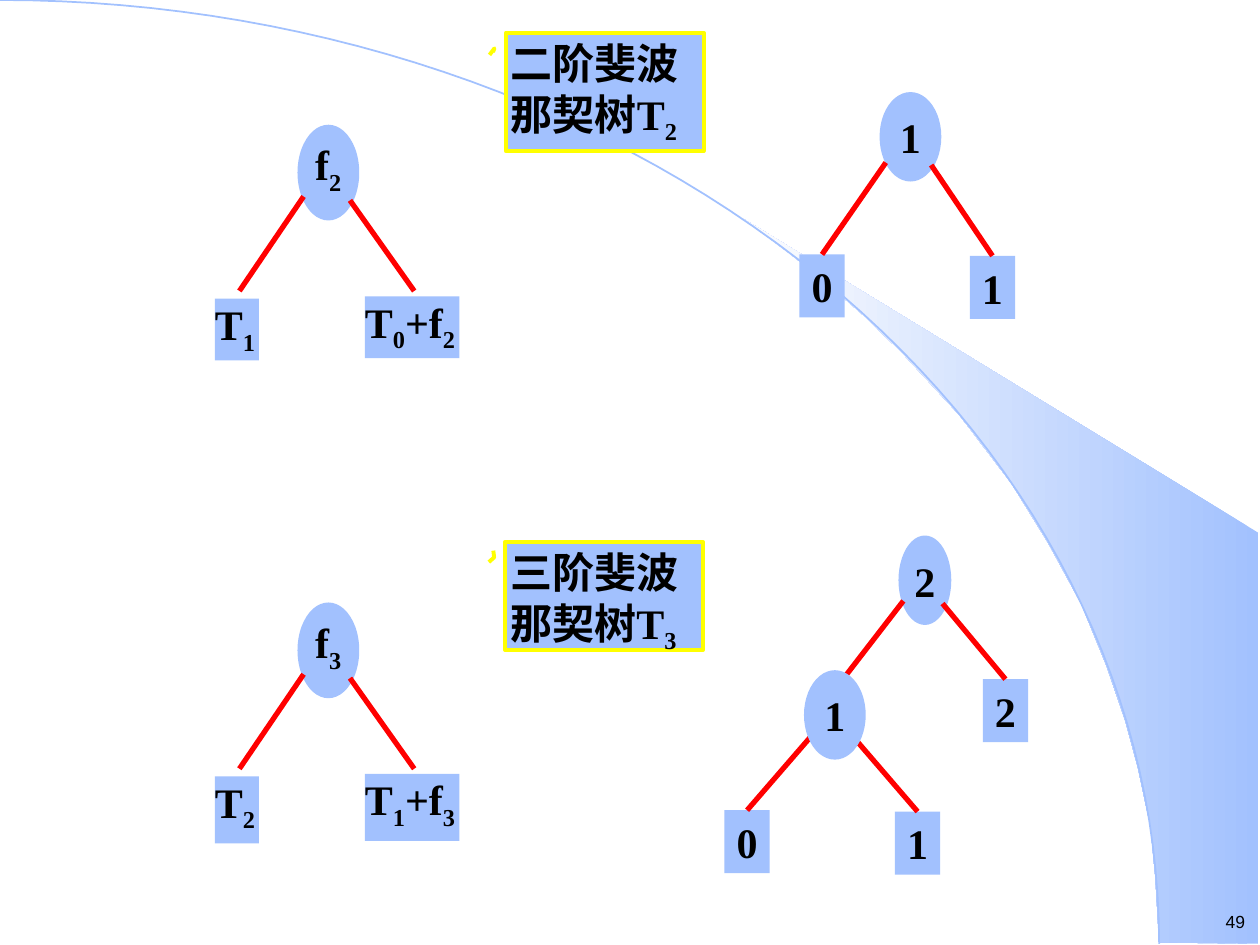
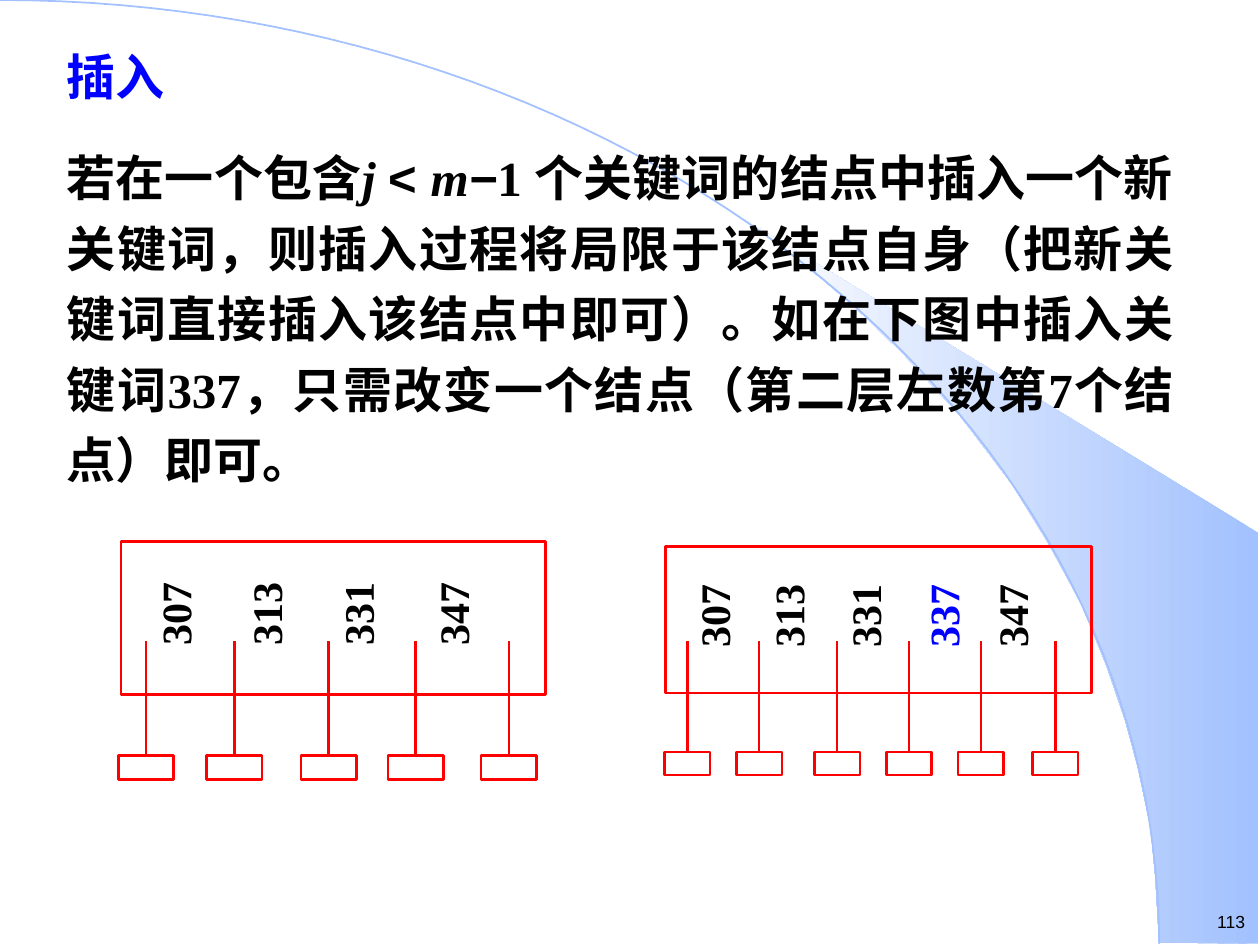
import math

import pptx
import pptx.dml.color
import pptx.enum.shapes
import pptx.enum.text
import pptx.oxml.ns
import pptx.util
from lxml import etree

Pt = pptx.util.Pt
RGBColor = pptx.dml.color.RGBColor
SHAPE = pptx.enum.shapes.MSO_SHAPE
ALIGN = pptx.enum.text.PP_ALIGN
ANCHOR = pptx.enum.text.MSO_ANCHOR

BLACK = RGBColor(0x00, 0x00, 0x00)
BLUE = RGBColor(0x00, 0x00, 0xFF)
RED = RGBColor(0xFF, 0x00, 0x00)
YELLOW = RGBColor(0xFF, 0xFF, 0x00)
SKY = RGBColor(0xA2, 0xC1, 0xFE)
NEAR_WHITE = RGBColor(0xFE, 0xFE, 0xFE)

SERIF = "Times New Roman"
SANS = "Arial"
TOP_SIDE = 0
ARC_WIDTH, ARC_HEIGHT, ARC_STEPS = 662.4, 539.3, 60
SWOOSH = [(662.4, 538.6), (719.3, 539.3), (719.3, 304.6), (424.1, 124.6),
          (449.3, 143.3), (470.2, 159.8), (493.2, 180), (515.5, 201.6),
          (548.6, 237.6), (578.2, 276.5), (599, 310.3), (617.8, 344.9),
          (632.2, 380.2), (643, 411.8), (650.2, 438.5), (657.4, 472.3),
          (660.2, 501.1)]


class Deck:
    """Holds the shared style and the slide being drawn."""

    def __init__(self):
        self.presentation = pptx.Presentation()
        self.presentation.slide_width = Pt(720)
        self.presentation.slide_height = Pt(540)
        self.shapes = None

    def new_slide(self, number):
        layout = self.presentation.slide_layouts[6]
        self.shapes = self.presentation.slides.add_slide(layout).shapes
        swoosh = self.outline(SWOOSH, closed=True)
        swoosh.fill.gradient()
        swoosh.fill.gradient_angle = 180
        for stop, color in zip(swoosh.fill.gradient_stops, (SKY, NEAR_WHITE)):
            stop.color.rgb = color
        swoosh.line.fill.background()

        angles = [math.pi / 2 * step / ARC_STEPS for step in range(ARC_STEPS + 1)]
        arc = self.outline([(ARC_WIDTH * math.sin(angle), ARC_HEIGHT * (1 - math.cos(angle)))
                            for angle in angles], closed=False)
        arc.fill.background()
        self.stroke(arc, SKY, 1)

        page = self.text_box((677.5, 517, 35.3, 19.4), (1.4, 3.6, 1.4, 3.6))
        self.put_text(page.text_frame.paragraphs[0], [str(number)], 10, ALIGN.RIGHT,
                      font_name=SANS, bold=False)

    def outline(self, points, closed):
        builder = self.shapes.build_freeform(Pt(points[0][0]), Pt(points[0][1]))
        builder.add_line_segments([(Pt(x), Pt(y)) for x, y in points[1:]], close=closed)
        shape = builder.convert_to_shape()
        shape.shadow.inherit = False
        return shape

    def stroke(self, shape, color, width):
        shape.line.color.rgb = color
        shape.line.width = Pt(width)

    def set_frame(self, shape, insets, anchor=ANCHOR.TOP, wrap=True):
        frame = shape.text_frame
        frame.word_wrap = wrap
        frame.vertical_anchor = anchor
        (frame.margin_left, frame.margin_top,
         frame.margin_right, frame.margin_bottom) = map(Pt, insets)

    def text_box(self, place, insets):
        box = self.shapes.add_textbox(*map(Pt, place))
        self.set_frame(box, insets)
        return box

    def put_text(self, paragraph, pieces, size=24, align=ALIGN.LEFT, color=BLACK,
                 font_name=SERIF, bold=True):
        """Add pieces in turn; every second one is a subscript."""
        paragraph.alignment = align
        font = paragraph.font
        font.name, font.size, font.bold = font_name, Pt(size), bold
        font.color.rgb = color
        for index, piece in enumerate(pieces):
            run = paragraph.add_run()
            run.text = piece
            if index % 2:
                run.font._element.set("baseline", "-25000")

    def shape(self, kind, place, fill=None):
        shape = self.shapes.add_shape(kind, *map(Pt, place))
        shape.shadow.inherit = False
        if fill is None:
            shape.fill.background()
        else:
            shape.fill.solid()
            shape.fill.fore_color.rgb = fill
        shape.line.fill.background()
        return shape

    def node(self, kind, place, pieces, insets=(7.2, 3.6, 7.2, 3.6),
             anchor=ANCHOR.MIDDLE, align=ALIGN.CENTER, wrap=False):
        node = self.shape(kind, place, SKY)
        self.set_frame(node, insets, anchor, wrap)
        self.put_text(node.text_frame.paragraphs[0], pieces, align=align)
        return node

    def line(self, start, end, width):
        line = self.shapes.add_connector(pptx.enum.shapes.MSO_CONNECTOR.STRAIGHT,
                                         *map(Pt, (*start, *end)))
        self.stroke(line, RED, width)
        etree.SubElement(line._element.spPr, pptx.oxml.ns.qn("a:effectLst"))
        return line

    def line_to_box(self, start, box, width):
        """Draw a line that is joined to the top of a box."""
        self.line(start, start, width).end_connect(box, TOP_SIDE)

    def leaf(self, x, y, key, parent_point):
        leaf = self.node(SHAPE.RECTANGLE, (x, y, 25.9, 36), [key])
        self.line_to_box(parent_point, leaf, 3)

    def recursive_tree(self, top, root, left, right, box_height, bottom_inset):
        """Draw the rule that builds a tree from its two smaller trees."""
        self.node(SHAPE.OVAL, (170, top, 35.3, 54.7), root, (0, 0, 0, 5.8), wrap=True)
        self.line((173.5, top + 41), (136.8, top + 95), 3)
        self.line((200, top + 43.2), (236.7, top + 95), 3)
        for x, y, width, pieces in ((122.8, 99.4, 25.2, left), (208.5, 98, 54, right)):
            self.node(SHAPE.RECTANGLE, (x, top + y, width, box_height), pieces,
                      (0, 0, 0, bottom_inset), ANCHOR.TOP, ALIGN.LEFT, True)

    def callout(self, place, adjustments, pieces):
        callout = self.shape(SHAPE.LINE_CALLOUT_2, place, SKY)
        for index, value in enumerate(adjustments):
            callout.adjustments[index] = value
        self.stroke(callout, YELLOW, 2.25)
        self.set_frame(callout, (2.9, 2.9, 2.9, 2.9))
        self.put_text(callout.text_frame.paragraphs[0], pieces)

    def frame(self, place):
        frame = self.shape(SHAPE.RECTANGLE, place)
        self.stroke(frame, RED, 1.5)
        return frame

    def tree_node(self, place, keys, key_size, key_y, child_size, child_top, child_centers):
        """Draw a node with upright keys, given as key to centre, and its children."""
        self.frame(place)
        width, height = child_size
        for x in child_centers:
            child = self.frame((x - width / 2, child_top, width, height))
            self.line_to_box((x, 366.5), child, 1.5)
        width, height = key_size
        for key, x in keys.items():
            label = self.text_box((x - width / 2, key_y - height / 2, width, height),
                                  (0, 4.3, 0, 0))
            label.rotation = 270
            paragraph = label.text_frame.paragraphs[0]
            paragraph.line_spacing = 0.56
            self.put_text(paragraph, [key], align=ALIGN.CENTER,
                          color=BLUE if key == "337" else BLACK)


def fibonacci_trees(deck):
    deck.new_slide(49)
    deck.recursive_tree(71.3, ["f", "2"], ["T", "1"], ["T", "0", "+f", "2"], 35.3, 2.9)
    deck.recursive_tree(344.3, ["f", "3"], ["T", "2"], ["T", "1", "+f", "3"], 38.2, 5.8)

    deck.node(SHAPE.OVAL, (502.6, 52.6, 35.3, 51.1), ["1"])
    deck.leaf(456.8, 145.4, "0", (506.2, 92.9))
    deck.leaf(554.2, 146.2, "1", (532.1, 94.3))

    deck.leaf(414, 463, "0", (463.7, 420.5))
    deck.leaf(511.4, 463.8, "1", (488.9, 422.6))
    deck.node(SHAPE.OVAL, (513.4, 306, 30.2, 51.1), ["2"])
    deck.line((516.2, 343.4), (479.5, 391), 3)
    deck.node(SHAPE.OVAL, (459.4, 383, 35.3, 51.1), ["1"])
    deck.leaf(561.6, 388.1, "2", (538.6, 344.9))

    deck.callout((289.1, 18.7, 113, 67.7), (0.188, -0.083, 0.132, -0.058, 0.164, -0.065),
                 ["二阶斐波那契树T", "2"])
    deck.callout((288.7, 309.6, 113, 61.9), (0.188, -0.083, 0.145, -0.056, 0.082, -0.06),
                 ["三阶斐波那契树T", "3"])


def key_insertion(deck):
    deck.new_slide(113)
    text = deck.text_box((31, 23, 646.6, 260), (7.2, 3.6, 7.2, 3.6)).text_frame
    deck.put_text(text.paragraphs[0], ["插入"], 28, ALIGN.JUSTIFY, BLUE)
    rule = text.add_paragraph()
    rule.line_spacing = 1.2
    rule.space_before = Pt(17.5)
    deck.put_text(rule, [], 28, ALIGN.JUSTIFY)
    for words, font_name, italic in (
            ("若在一个包含", None, None), ("j ", None, True), ("< ", SANS, None),
            ("m", None, True), ("−", SANS, True),
            ("1 个关键词的结点中插入一个新关键词，则插入过程将局限于该结点自身"
             "（把新关键词直接插入该结点中即可）。如在下图中插入关键词337，"
             "只需改变一个结点（第二层左数第7个结点）即可。", None, None)):
        run = rule.add_run()
        run.text = words
        run.font.name, run.font.italic = font_name, italic

    deck.tree_node((380.2, 312.5, 243.4, 83.5),
                   {"307": 411.1, "313": 453.6, "331": 497.5, "337": 542.2, "347": 581.4},
                   (66, 22.3), 351.7, (26, 13), 429.8,
                   (392.8, 433.8, 478.4, 519.5, 560.5, 603))
    deck.tree_node((69.1, 309.6, 242.6, 87.1),
                   {"307": 105.8, "313": 157.7, "331": 210.2, "347": 264.6},
                   (69, 27.4), 350.6, (31.7, 13.7), 431.6,
                   (83.5, 133.9, 187.9, 237.6, 290.8))


def main():
    deck = Deck()
    fibonacci_trees(deck)
    key_insertion(deck)
    deck.presentation.save("out.pptx")


if __name__ == "__main__":
    main()
